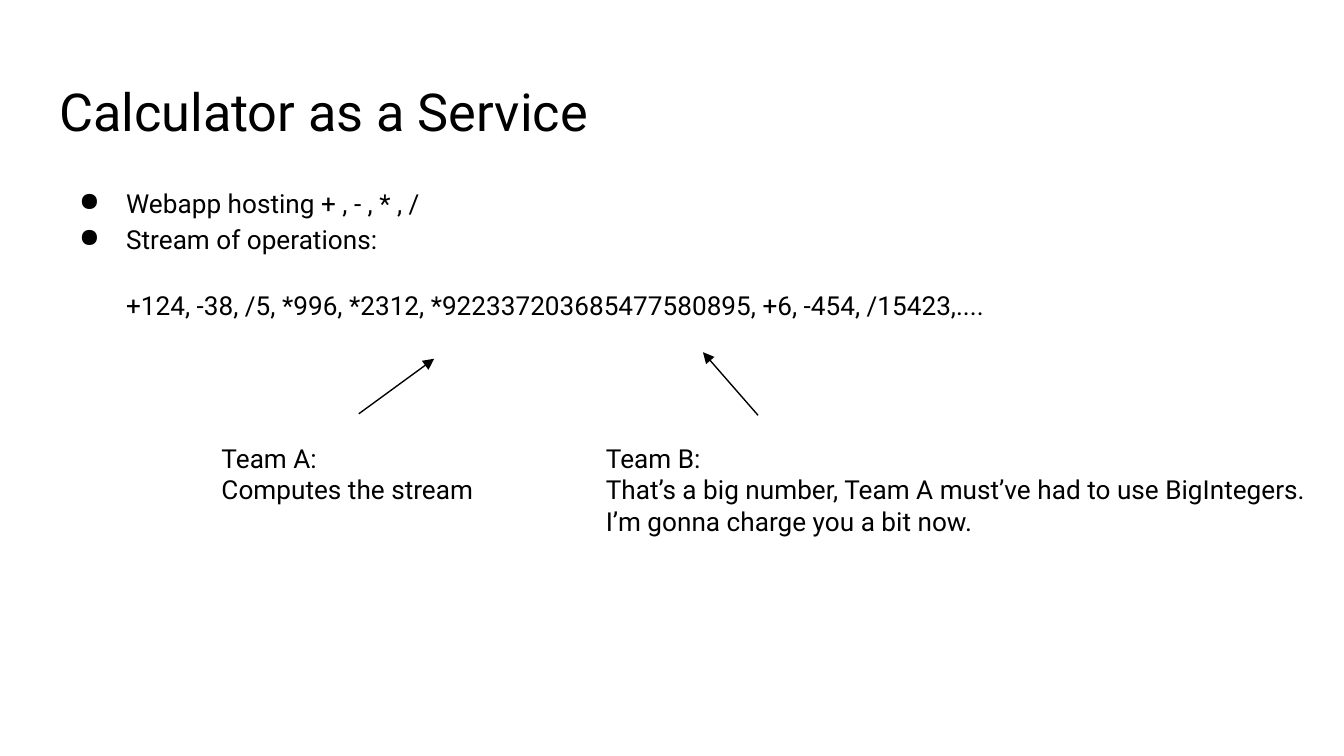
import pptx
import pptx.dml.color
import pptx.enum.shapes
import pptx.enum.text
import pptx.oxml.ns
import pptx.util
from lxml import etree

Pt = pptx.util.Pt
BLACK = pptx.dml.color.RGBColor(0, 0, 0)
WHITE = pptx.dml.color.RGBColor(255, 255, 255)
FONT = "Roboto"
INSET = 7.2
INDENT = 36
BULLET_HANG = 25.2


def format_frame(frame):
    frame.word_wrap = True
    frame.auto_size = pptx.enum.text.MSO_AUTO_SIZE.NONE
    frame.vertical_anchor = pptx.enum.text.MSO_ANCHOR.TOP
    frame.margin_left = frame.margin_right = Pt(INSET)
    frame.margin_top = frame.margin_bottom = Pt(INSET)


def format_paragraph(paragraph, size):
    paragraph.alignment = pptx.enum.text.PP_ALIGN.LEFT
    paragraph.font.name = FONT
    paragraph.font.size = Pt(size)
    paragraph.font.color.rgb = BLACK


def add_text(slide, box, lines):
    frame = slide.shapes.add_textbox(*map(Pt, box)).text_frame
    format_frame(frame)
    frame.text = "\n".join(lines)
    for paragraph in frame.paragraphs:
        format_paragraph(paragraph, 14)
    return frame.paragraphs


def place_title(slide, box, text):
    title = slide.shapes.title
    title.left, title.top, title.width, title.height = map(Pt, box)
    format_frame(title.text_frame)
    title.text_frame.text = text
    heading = title.text_frame.paragraphs[0]
    format_paragraph(heading, 28)
    heading.line_spacing = 1.0


def add_operations(slide, box, bullets, stream):
    paragraphs = add_text(slide, box, bullets + [stream])
    for paragraph in paragraphs:
        paragraph.line_spacing = 1.15
        properties = paragraph._p.get_or_add_pPr()
        properties.set("marL", str(Pt(INDENT)))
        properties.set("indent", "0")

    # Bulleted lines hang; the stream below them stays flush
    for paragraph in paragraphs[:-1]:
        properties = paragraph._p.get_or_add_pPr()
        properties.set("indent", str(-Pt(BULLET_HANG)))
        bullet = etree.Element(pptx.oxml.ns.qn("a:buChar"), char="●")
        properties.insert_element_before(bullet, "a:tabLst", "a:defRPr", "a:extLst")
    paragraphs[-1].space_before = Pt(16)


def add_team(slide, box, lines, arrow_start, arrow_end):
    """Add a team's note and its arrow, given as offsets from the box corner."""
    left, top = box[:2]
    add_text(slide, box, lines)
    arrow = slide.shapes.add_connector(
        pptx.enum.shapes.MSO_CONNECTOR.STRAIGHT,
        Pt(left + arrow_start[0]), Pt(top + arrow_start[1]),
        Pt(left + arrow_end[0]), Pt(top + arrow_end[1]))
    arrow.line.color.rgb = BLACK
    arrow.line.width = Pt(0.75)
    etree.SubElement(arrow.line._get_or_add_ln(),
                     pptx.oxml.ns.qn("a:tailEnd"), type="triangle")
    etree.SubElement(arrow._element.spPr, pptx.oxml.ns.qn("a:effectLst"))


def main():
    presentation = pptx.Presentation()
    presentation.slide_width, presentation.slide_height = Pt(720), Pt(405)
    slide = presentation.slides.add_slide(presentation.slide_layouts[5])
    slide.background.fill.solid()
    slide.background.fill.fore_color.rgb = WHITE

    # Title and stream of operations
    place_title(slide, (24.5, 35.3, 671, 45.4), "Calculator as a Service")
    add_operations(
        slide, (24.5, 90.7, 671, 269.3),
        ["Webapp hosting + , - , * , /", "Stream of operations:"],
        "+124, -38, /5, *996, *2312, *922337203685477580895, +6, -454, /15423,....")

    # Teams reading the stream
    add_team(slide, (317.5, 229.7, 402.5, 67.7),
             ["Team B:",
              "That’s a big number, Team A must’ve had to use BigIntegers.",
              "I’m gonna charge you a bit now."],
             (88.6, -7.2), (59.1, -41))
    add_team(slide, (111.6, 229.7, 167.8, 67.7),
             ["Team A:", "Computes the stream"],
             (80.6, -8), (121, -37.5))

    presentation.save("out.pptx")


if __name__ == "__main__":
    main()
